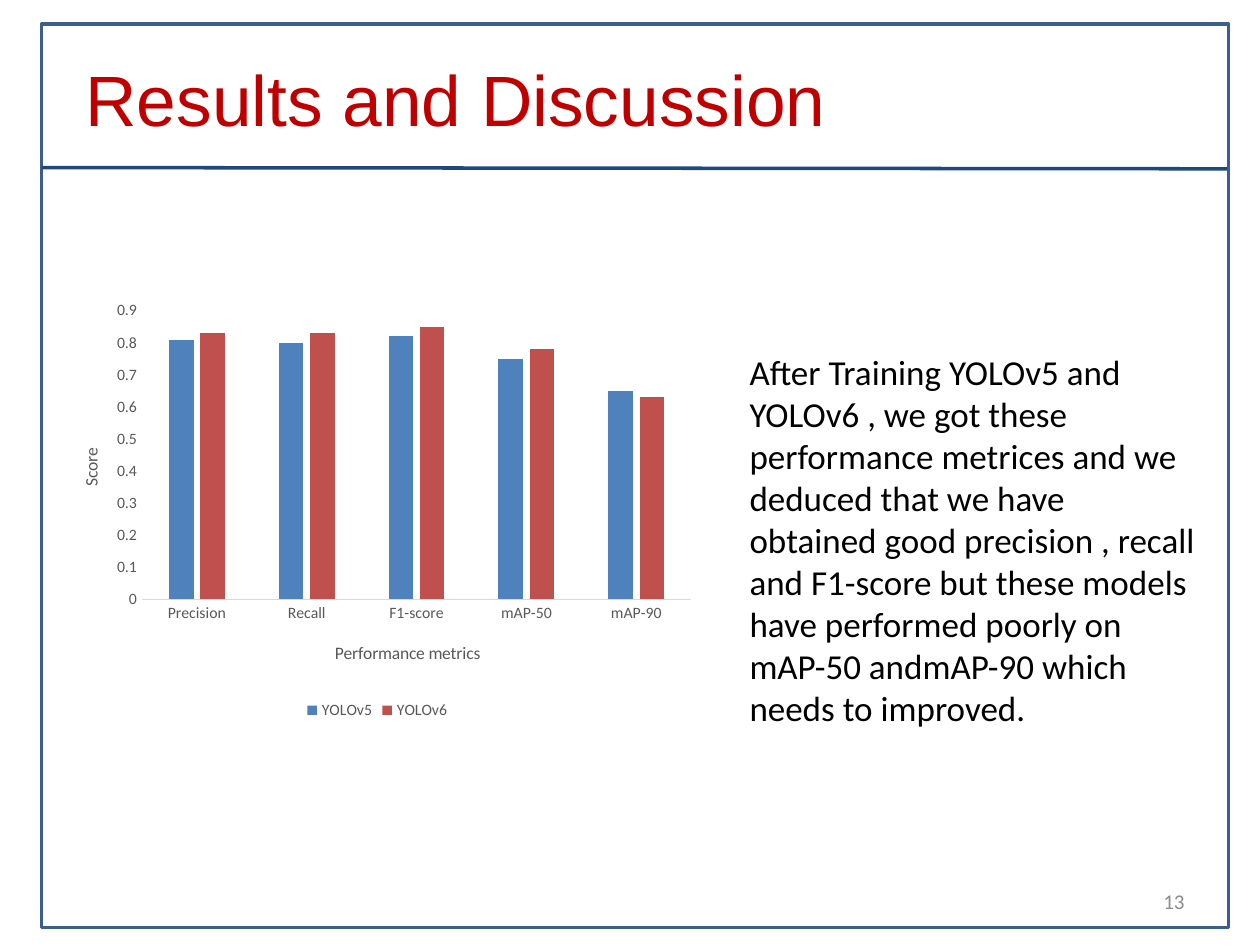
import pptx
import pptx.chart.data
import pptx.dml.color
import pptx.enum.chart
import pptx.enum.shapes
import pptx.enum.text
import pptx.oxml
import pptx.oxml.ns
import pptx.util
from pptx.util import Inches

GREY = "595959"


def color(hex_value):
    return pptx.dml.color.RGBColor.from_string(hex_value)


def style_font(font, size, hex_value, name="Calibri"):
    font.size = pptx.util.Pt(size)
    font.name = name
    font.bold = False
    font.color.rgb = color(hex_value)


def style_line(line, hex_value, width):
    line.color.rgb = color(hex_value)
    line.width = pptx.util.Pt(width)


def add_frame(slide, left, top, width, height):
    frame = slide.shapes.add_shape(
        pptx.enum.shapes.MSO_SHAPE.RECTANGLE,
        Inches(left), Inches(top), Inches(width), Inches(height))
    frame.shadow.inherit = False
    frame.fill.background()
    style_line(frame.line, "3A5F8C", 2)


def add_rule(slide, start_x, start_y, end_x, end_y):
    rule = slide.shapes.add_connector(
        pptx.enum.shapes.MSO_CONNECTOR.STRAIGHT,
        Inches(start_x), Inches(start_y), Inches(end_x), Inches(end_y))
    style_line(rule.line, "1F497D", 2)
    pptx.oxml.ns.qn("a:effectLst")
    rule._element.spPr.append(
        pptx.oxml.parse_xml(f'<a:effectLst {pptx.oxml.ns.nsdecls("a")}/>'))


def add_text(slide, box, text, size, hex_value, name="Calibri",
             anchor="MIDDLE", align="LEFT", space_before=0):
    shape = slide.shapes.add_textbox(*(Inches(length) for length in box))
    frame = shape.text_frame
    frame.word_wrap = True
    frame.vertical_anchor = pptx.enum.text.MSO_ANCHOR[anchor]
    paragraph = frame.paragraphs[0]
    paragraph.text = text
    paragraph.alignment = pptx.enum.text.PP_ALIGN[align]
    paragraph.space_before = pptx.util.Pt(space_before)
    style_font(paragraph.font, size, hex_value, name)


def set_layout(element, target="", **fractions):
    old_layout = element.find(pptx.oxml.ns.qn("c:layout"))
    position = 0
    if old_layout is not None:
        position = element.index(old_layout)
        element.remove(old_layout)
    modes = '<c:xMode val="edge"/><c:yMode val="edge"/>'
    values = "".join(f'<c:{key} val="{value}"/>' for key, value in fractions.items())
    element.insert(position, pptx.oxml.parse_xml(
        f'<c:layout {pptx.oxml.ns.nsdecls("c")}><c:manualLayout>'
        f'{target}{modes}{values}</c:manualLayout></c:layout>'))


def style_axis(axis, title, x, y):
    axis.has_major_gridlines = False
    axis.major_tick_mark = pptx.enum.chart.XL_TICK_MARK.NONE
    axis.minor_tick_mark = pptx.enum.chart.XL_TICK_MARK.NONE
    style_font(axis.tick_labels.font, 9, GREY)
    paragraph = axis.axis_title.text_frame.paragraphs[0]
    paragraph.text = title
    style_font(paragraph.font, 10, GREY)
    set_layout(axis.axis_title._element, x=x, y=y)


def add_score_chart(slide):
    data = pptx.chart.data.CategoryChartData()
    data.categories = ["Precision", "Recall", "F1-score", "mAP-50", "mAP-90"]
    data.add_series("YOLOv5", [0.81, 0.8, 0.82, 0.75, 0.65])
    data.add_series("YOLOv6", [0.83, 0.83, 0.85, 0.78, 0.63])
    chart = slide.shapes.add_chart(
        pptx.enum.chart.XL_CHART_TYPE.COLUMN_CLUSTERED,
        Inches(0.4), Inches(2.33), Inches(5.19), Inches(3.42), data).chart
    style_font(chart.font, 10, "000000")
    chart.has_title = False

    plot = chart.plots[0]
    plot.gap_width = 219
    plot.overlap = -27
    plot.vary_by_categories = False
    for series, hex_value in zip(plot.series, ["4F81BD", "C0504D"]):
        series.format.fill.solid()
        series.format.fill.fore_color.rgb = color(hex_value)
    set_layout(chart._chartSpace.chart.plotArea,
               '<c:layoutTarget val="inner"/>', x=0.14, y=0.04, w=0.84, h=0.67)

    style_axis(chart.category_axis, "Performance metrics", 0.43, 0.8)
    style_line(chart.category_axis.format.line, "D9D9D9", 0.75)
    style_axis(chart.value_axis, "Score", 0.04, 0.35)
    chart.value_axis.format.line.fill.background()
    chart.value_axis.minimum_scale = 0
    chart.value_axis.maximum_scale = 0.9
    chart.value_axis.major_unit = 0.1
    chart.value_axis.tick_labels.number_format = "General"
    chart.value_axis.tick_labels.number_format_is_linked = False

    chart.has_legend = True
    chart.legend.position = pptx.enum.chart.XL_LEGEND_POSITION.BOTTOM
    chart.legend.include_in_layout = False
    style_font(chart.legend.font, 9, GREY)


def main():
    presentation = pptx.Presentation()
    presentation.slide_width = Inches(10)
    presentation.slide_height = Inches(7.5)
    slide = presentation.slides.add_slide(presentation.slide_layouts[6])

    add_frame(slide, 0.33, 0.19, 9.42, 7.17)
    add_rule(slide, 0.33, 1.33, 9.74, 1.34)
    add_text(slide, (0.58, 0.42, 9, 0.72), "Results and Discussion",
             40.7, "C00000", name="Arial")
    add_text(slide, (5.85, 2.73, 3.75, 4.56),
             "After Training YOLOv5 and YOLOv6 , we got these performance "
             "metrices and we deduced that we have obtained good precision , "
             "recall and F1-score but these models have performed poorly on "
             "mAP-50 andmAP-90 which needs to improved.",
             20, "000000", anchor="TOP", space_before=4)
    add_text(slide, (7.17, 6.95, 2.33, 0.4), "13", 12, "8C8C8C", align="RIGHT")
    add_score_chart(slide)
    presentation.save("out.pptx")


if __name__ == "__main__":
    main()
